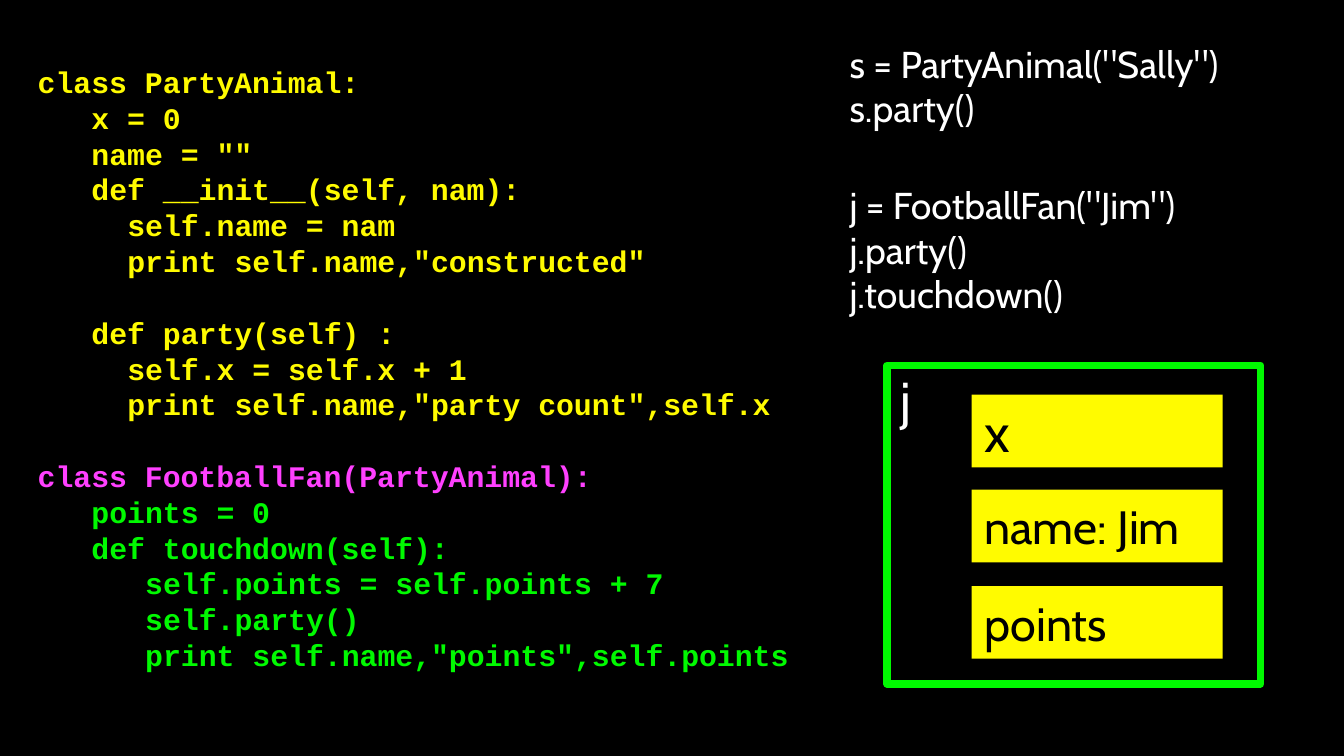
from typing import NamedTuple

from pptx import Presentation
from pptx.dml.color import RGBColor
from pptx.enum.shapes import MSO_SHAPE as Preset
from pptx.enum.text import MSO_ANCHOR as Anchor, PP_ALIGN as Align
from pptx.util import Pt

BLACK, WHITE = "000000", "FFFFFF"
YELLOW, GREEN, PINK = "FFFB00", "00F900", "FF40FF"
CHARACTER_WIDTH = 9.6


class Line(NamedTuple):
    """One line of text; indent counts characters, gap is space above."""
    text: str
    color: str = WHITE
    indent: int = 0
    gap: float = 0


class Field(NamedTuple):
    """One attribute held by the object."""
    label: str
    size: int
    top: float


CODE = [
    Line("class PartyAnimal:", YELLOW),
    Line("x = 0", YELLOW, 3),
    Line('name = ""', YELLOW, 3),
    Line("def __init__(self, nam):", YELLOW, 3),
    Line("self.name = nam", YELLOW, 5),
    Line('print self.name,"constructed"', YELLOW, 5),
    Line("def party(self) :", YELLOW, 3, 19.2),
    Line("self.x = self.x + 1", YELLOW, 5),
    Line('print self.name,"party count",self.x', YELLOW, 5),
    Line("class FootballFan(PartyAnimal):", PINK, 0, 19.2),
    Line("points = 0", GREEN, 3),
    Line("def touchdown(self):", GREEN, 3),
    Line("self.points = self.points + 7", GREEN, 6),
    Line("self.party()", GREEN, 6),
    Line('print self.name,"points",self.points', GREEN, 6),
]
CALLS = [
    Line('s = PartyAnimal("Sally")'),
    Line("s.party()"),
    Line('j = FootballFan("Jim")', gap=28.4),
    Line("j.party()"),
    Line("j.touchdown()"),
]
FIELDS = [Field("x", 29, 211.5), Field("name: Jim", 25, 262.4), Field("points", 25, 314)]


def rgb(color: str) -> RGBColor:
    """Turn a hex string into a colour."""
    return RGBColor.from_string(color)


def set_frame(frame, anchor, left_inset: float = 1.5) -> None:
    """Set wrapping, anchor and insets of a text frame."""
    frame.word_wrap = True
    frame.vertical_anchor = anchor
    frame.margin_left = Pt(left_inset)
    frame.margin_top = frame.margin_right = frame.margin_bottom = Pt(1.5)


def style(paragraph, font_name: str, size: float, color: str, bold: bool = False) -> None:
    """Left-align a paragraph and set its font."""
    paragraph.alignment = Align.LEFT
    font = paragraph.font
    font.name, font.size, font.bold = font_name, Pt(size), bold
    font.color.rgb = rgb(color)


def add_listing(slide, box: tuple, lines: list[Line], font_name: str,
                size: float, pitch: float, bold: bool = False) -> None:
    """Add a text box with one paragraph for each line."""
    frame = slide.shapes.add_textbox(*map(Pt, box)).text_frame
    set_frame(frame, Anchor.MIDDLE)
    for index, line in enumerate(lines):
        paragraph = frame.add_paragraph() if index else frame.paragraphs[0]
        paragraph.text = line.text
        style(paragraph, font_name, size, line.color, bold)
        paragraph.line_spacing = Pt(pitch)
        paragraph.space_before = Pt(line.gap)
        properties = paragraph._p.get_or_add_pPr()
        properties.set("marL", str(Pt(line.indent * CHARACTER_WIDTH)))
        properties.set("indent", "0")


def add_box(slide, box: tuple, label: str, size: float, color: str, anchor):
    """Add a labelled rectangle without fill or line."""
    shape = slide.shapes.add_shape(Preset.RECTANGLE, *map(Pt, box))
    shape.shadow.inherit = False
    shape.fill.background()
    shape.line.fill.background()
    set_frame(shape.text_frame, anchor, 7)
    paragraph = shape.text_frame.paragraphs[0]
    paragraph.text = label
    style(paragraph, "Cabin", size, color)
    return shape


def main() -> None:
    """Build and save the slide."""
    presentation = Presentation()
    presentation.slide_width, presentation.slide_height = Pt(720), Pt(405)
    slide = presentation.slides.add_slide(presentation.slide_layouts[6])
    background = slide.background.fill
    background.solid()
    background.fore_color.rgb = rgb(BLACK)

    add_listing(slide, (453.6, 29.5, 210.2, 132.5), CALLS, "Cabin", 20, 23.7)
    outline = add_box(slide, (475.2, 195.8, 200.2, 170.6), "j", 27, WHITE, Anchor.TOP)
    outline.line.color.rgb = rgb(GREEN)
    outline.line.width = Pt(4)
    for field in FIELDS:
        shape = add_box(slide, (520.5, field.top, 134.6, 38.9),
                        field.label, field.size, BLACK, Anchor.MIDDLE)
        shape.fill.solid()
        shape.fill.fore_color.rgb = rgb(YELLOW)
    add_listing(slide, (18.7, 12.2, 421.2, 370), CODE, "Courier New", 16, 19.2, True)
    presentation.save("out.pptx")


main()
